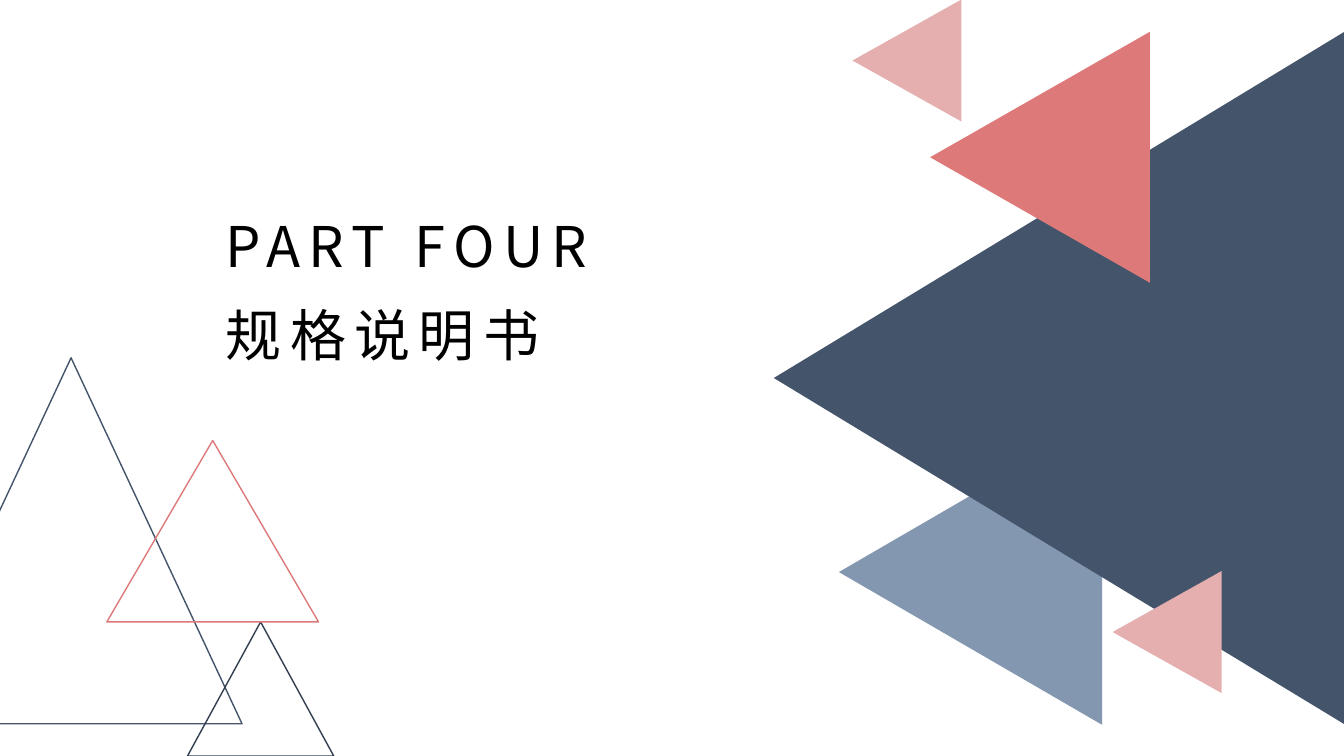
import pptx
import pptx.dml.color
import pptx.enum.shapes
import pptx.enum.text
import pptx.oxml.ns
import pptx.util
from lxml import etree

Inches = pptx.util.Inches

THEME = {
    "font": "Noto Sans CJK SC",
    "size": 40,
    "spacing": 6,
    "outline": 1,
    "text": "000000",
    "navy": "44546A",
    "dark": "333F50",
    "steel": "8497B0",
    "coral": "DD7979",
    "blush": "E5AFAF",
}

PART_LABEL = "PART FOUR"
SECTION_TITLE = "规格说明书"
LABEL_BOX = (2.11, 2.03, 4.56, 0.81)
TITLE_BOX = (2.11, 2.91, 4.56, 0.81)

# Left, top, width, height before rotation; colour
LEFT_POINTING = [
    ((8.11, 4.37, 3.03, 2.61), "steel"),
    ((7.07, 0.92, 6.87, 5.66), "navy"),
    ((9.07, 0.47, 2.49, 2.18), "coral"),
    ((8.39, 0.06, 1.21, 1.08), "blush"),
    ((10.97, 5.73, 1.21, 1.08), "blush"),
]
OUTLINED = [
    ((-0.99, 3.55, 3.39, 3.63), "navy"),
    ((1.86, 6.17, 1.45, 1.33), "dark"),
    ((1.06, 4.37, 2.1, 1.8), "coral"),
]


def color(name):
    return pptx.dml.color.RGBColor.from_string(THEME[name])


def add_triangle(slide, box):
    sp = slide.shapes.add_shape(
        pptx.enum.shapes.MSO_SHAPE.ISOSCELES_TRIANGLE, *map(Inches, box))
    sp.shadow.inherit = False
    return sp


def add_filled(slide, box, name):
    sp = add_triangle(slide, box)
    sp.rotation = 270
    sp.fill.solid()
    sp.fill.fore_color.rgb = color(name)
    sp.line.fill.background()


def add_outlined(slide, box, name):
    sp = add_triangle(slide, box)
    sp.fill.background()
    sp.line.color.rgb = color(name)
    sp.line.width = pptx.util.Pt(THEME["outline"])


def set_heading(sp, box, text):
    """Place a text shape and give it the wide-spaced heading style."""
    sp.left, sp.top, sp.width, sp.height = map(Inches, box)
    tf = sp.text_frame
    tf.word_wrap = True
    tf.auto_size = pptx.enum.text.MSO_AUTO_SIZE.SHAPE_TO_FIT_TEXT
    tf.vertical_anchor = pptx.enum.text.MSO_ANCHOR.TOP
    tf.margin_left = tf.margin_right = Inches(0.13)
    tf.margin_top = tf.margin_bottom = Inches(0.07)
    p = tf.paragraphs[0]
    p.alignment = pptx.enum.text.PP_ALIGN.LEFT
    r = p.add_run()
    r.text = text
    r.font.name = THEME["font"]
    r.font.size = pptx.util.Pt(THEME["size"])
    r.font.color.rgb = color("text")
    props = r.font._element
    props.set("spc", str(THEME["spacing"] * 100))
    latin = props.find(pptx.oxml.ns.qn("a:latin"))
    east_asian = etree.Element(pptx.oxml.ns.qn("a:ea"), typeface=THEME["font"])
    latin.addnext(east_asian)


def main():
    prs = pptx.Presentation()
    prs.slide_width, prs.slide_height = Inches(13.33), Inches(7.5)
    slide = prs.slides.add_slide(prs.slide_layouts.get_by_name("Title Only"))

    for box, name in LEFT_POINTING:
        add_filled(slide, box, name)
    for box, name in OUTLINED:
        add_outlined(slide, box, name)

    set_heading(slide.shapes.title, TITLE_BOX, SECTION_TITLE)
    label = slide.shapes.add_textbox(*map(Inches, LABEL_BOX))
    set_heading(label, LABEL_BOX, PART_LABEL)

    prs.save("out.pptx")


if __name__ == "__main__":
    main()
